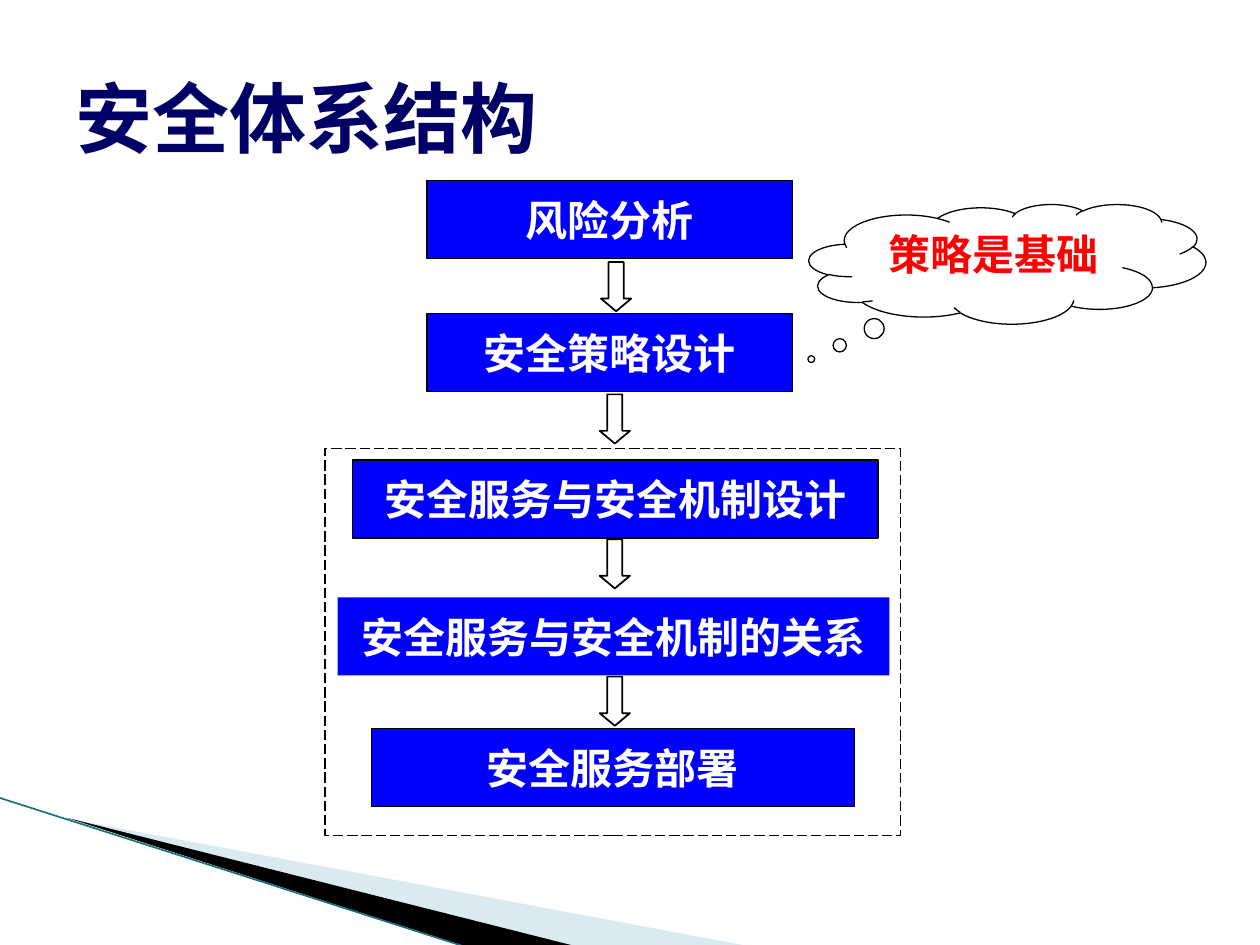
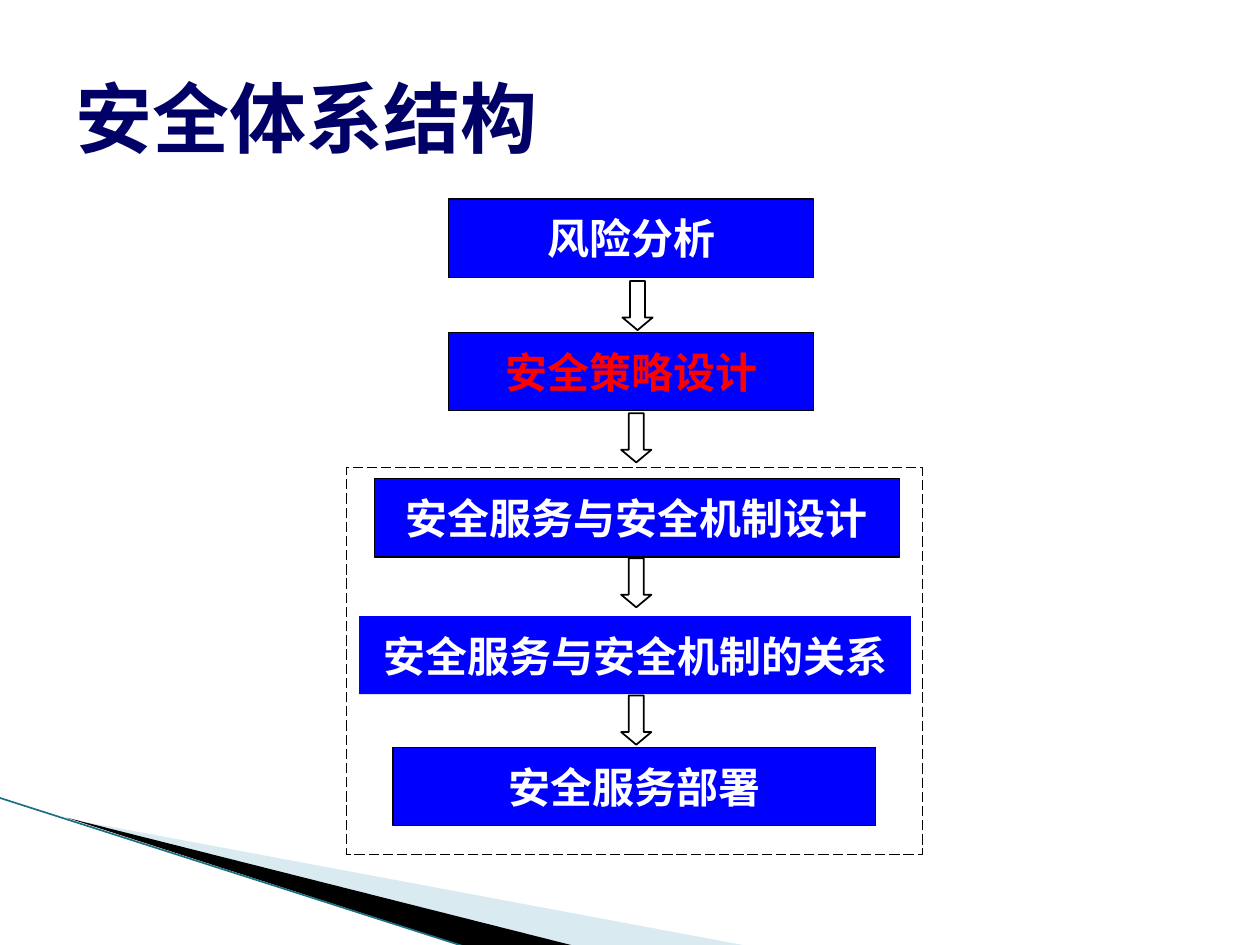
from lxml import etree
from pptx import Presentation
from pptx import util as u
from pptx.dml.color import RGBColor
from pptx.enum import dml, shapes, text
from pptx.oxml.ns import qn

NAVY, BLUE, RED = "000066", "0000FF", "FF0000"
BLACK, WHITE = "000000", "FFFFFF"
PALE, TEAL = "A0CBDC", "1B7083"
TITLE_FONT, BODY_FONT = "Noto Sans Mono", "Cabin"
TITLE = "安全体系结构"

BOX_H = 0.62
POLICY = "安全策略设计"
# text, left, top, width, outlined
STEPS = [
    ("风险分析", 3.39, 1.43, 2.9, True),
    (POLICY, 3.39, 2.49, 2.9, True),
    ("安全服务与安全机制设计", 2.8, 3.65, 4.17, True),
    ("安全服务与安全机制的关系", 2.68, 4.74, 4.38, False),
    ("安全服务部署", 2.95, 5.78, 3.83, True),
]
ARROWS = [(4.77, 2.08), (4.76, 3.13), (4.76, 4.28), (4.76, 5.37)]


def rgb(code):
    return RGBColor.from_string(code)


def paint(shape, fill=None, line=None, width=0.75):
    """Set fill and outline (None means none) and drop the shadow."""
    shape.shadow.inherit = False
    if fill:
        shape.fill.solid()
        shape.fill.fore_color.rgb = rgb(fill)
    else:
        shape.fill.background()
    if line:
        shape.line.color.rgb = rgb(line)
        shape.line.width = u.Pt(width)
    else:
        shape.line.fill.background()


def write(shape, words, size, color, face, align, anchor, wrap=True):
    frame = shape.text_frame
    frame.text = words
    frame.word_wrap = wrap
    frame.auto_size = text.MSO_AUTO_SIZE.NONE
    frame.vertical_anchor = anchor
    par = frame.paragraphs[0]
    par.alignment = align
    font = par.runs[0].font
    font.size, font.bold, font.name = u.Pt(size), True, face
    font.color.rgb = rgb(color)
    asian = etree.SubElement(par.runs[0]._r.get_or_add_rPr(), qn("a:ea"))
    asian.set("typeface", face)


def add_shape(parent, kind, left, top, width, height):
    return parent.shapes.add_shape(
        kind, u.Inches(left), u.Inches(top), u.Inches(width), u.Inches(height))


def add_band(slide, points, color, alpha=None):
    """Draw a filled sliver; alpha is its opacity in percent."""
    path = [(u.Inches(x), u.Inches(y)) for x, y in points]
    maker = slide.shapes.build_freeform(*path[0])
    maker.add_line_segments(path[1:])
    band = maker.convert_to_shape()
    paint(band, color)
    if alpha:
        tone = band._element.spPr.find(qn("a:solidFill"))[0]
        etree.SubElement(tone, qn("a:alpha")).set("val", str(alpha * 1000))


def add_corner(slide):
    add_band(slide, [(0.55, 6.5), (5.95, 7.51), (4.56, 7.51)], PALE, 40)
    add_band(slide, [(0.53, 6.49), (4.57, 7.51), (3.72, 7.52)], BLACK)
    edge = slide.shapes.add_connector(
        shapes.MSO_CONNECTOR.STRAIGHT,
        u.Inches(-0.01), u.Inches(6.33), u.Inches(3.71), u.Inches(7.52))
    edge.line.color.rgb = rgb(TEAL)
    edge.line.width = u.Pt(0.95)
    etree.SubElement(edge._element.spPr, qn("a:effectLst"))


def add_slide(deck):
    """Add a slide with the shared title and corner bands."""
    slide = deck.slides.add_slide(deck.slide_layouts[5])
    title = slide.shapes.title
    title.left, title.top = u.Inches(0.5), u.Inches(0.3)
    title.width, title.height = u.Inches(9), u.Inches(1.25)
    write(title, TITLE, 44, NAVY, TITLE_FONT,
          text.PP_ALIGN.LEFT, text.MSO_ANCHOR.MIDDLE)
    add_corner(slide)
    return slide


def add_cloud(slide):
    cloud = add_shape(slide, shapes.MSO_SHAPE.CLOUD_CALLOUT,
                      6.42, 1.62, 3.15, 0.95)
    cloud.adjustments[0], cloud.adjustments[1] = -0.494, 0.795
    paint(cloud, WHITE, BLACK)
    write(cloud, "策略是基础", 24, RED, BODY_FONT,
          text.PP_ALIGN.CENTER, text.MSO_ANCHOR.TOP)


def add_flow(slide, dx=0, dy=0, marked=None):
    """Draw the chain of steps, shifted by dx and dy; marked is in red."""
    group = slide.shapes.add_group_shape()
    rect = shapes.MSO_SHAPE.RECTANGLE
    frame = add_shape(group, rect, 2.58 + dx, 3.56 + dy, 4.57, 3.07)
    paint(frame, WHITE, BLACK)
    frame.line.dash_style = dml.MSO_LINE.LONG_DASH
    for words, left, top, width, lined in STEPS:
        box = add_shape(group, rect, left + dx, top + dy, width, BOX_H)
        paint(box, BLUE, BLACK if lined else None)
        write(box, words, 24, RED if words == marked else WHITE, BODY_FONT,
              text.PP_ALIGN.CENTER, text.MSO_ANCHOR.MIDDLE, wrap=False)
    for left, top in ARROWS:
        arrow = add_shape(group, shapes.MSO_SHAPE.DOWN_ARROW,
                          left + dx, top + dy, 0.24, 0.39)
        arrow.adjustments[1] = 0.417
        paint(arrow, None, BLACK, 1)


def main():
    deck = Presentation()
    deck.slide_width, deck.slide_height = u.Inches(10), u.Inches(7.5)
    first = add_slide(deck)
    add_cloud(first)
    add_flow(first)
    add_flow(add_slide(deck), 0.17, 0.15, POLICY)
    deck.save("out.pptx")


if __name__ == "__main__":
    main()
